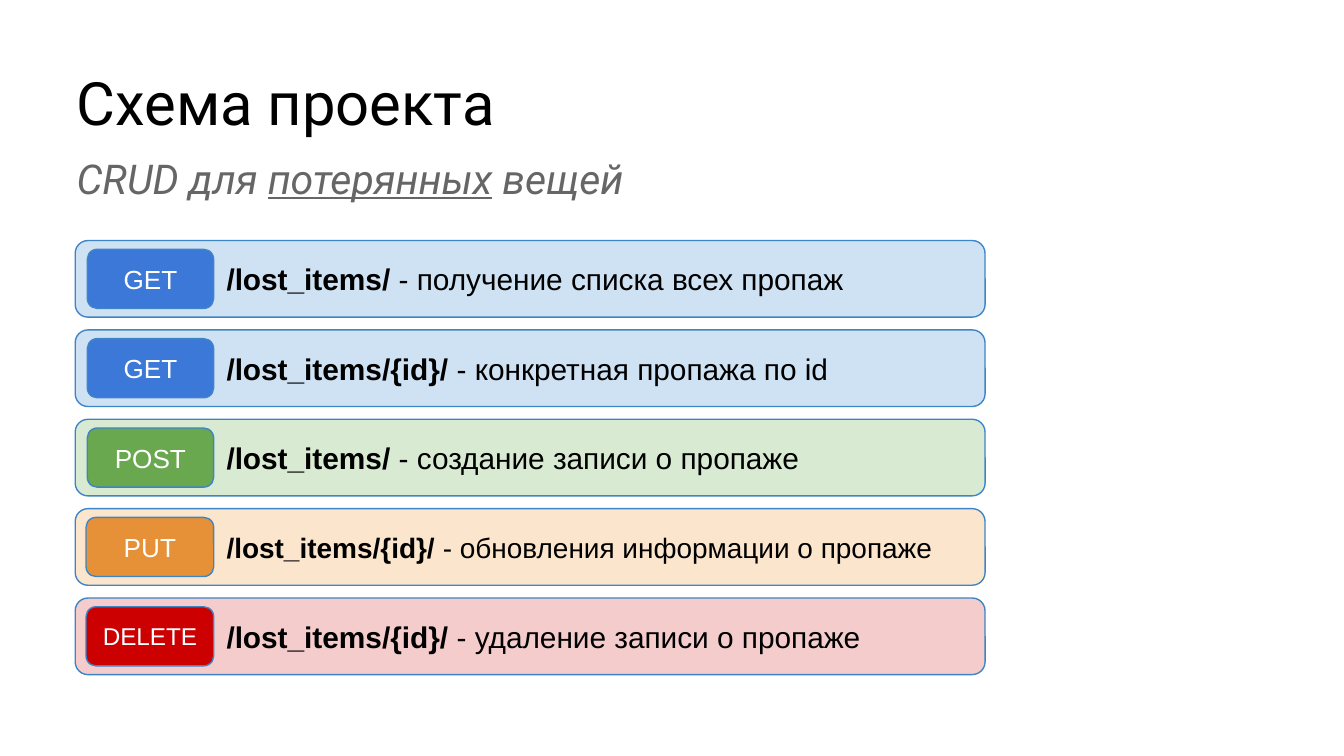
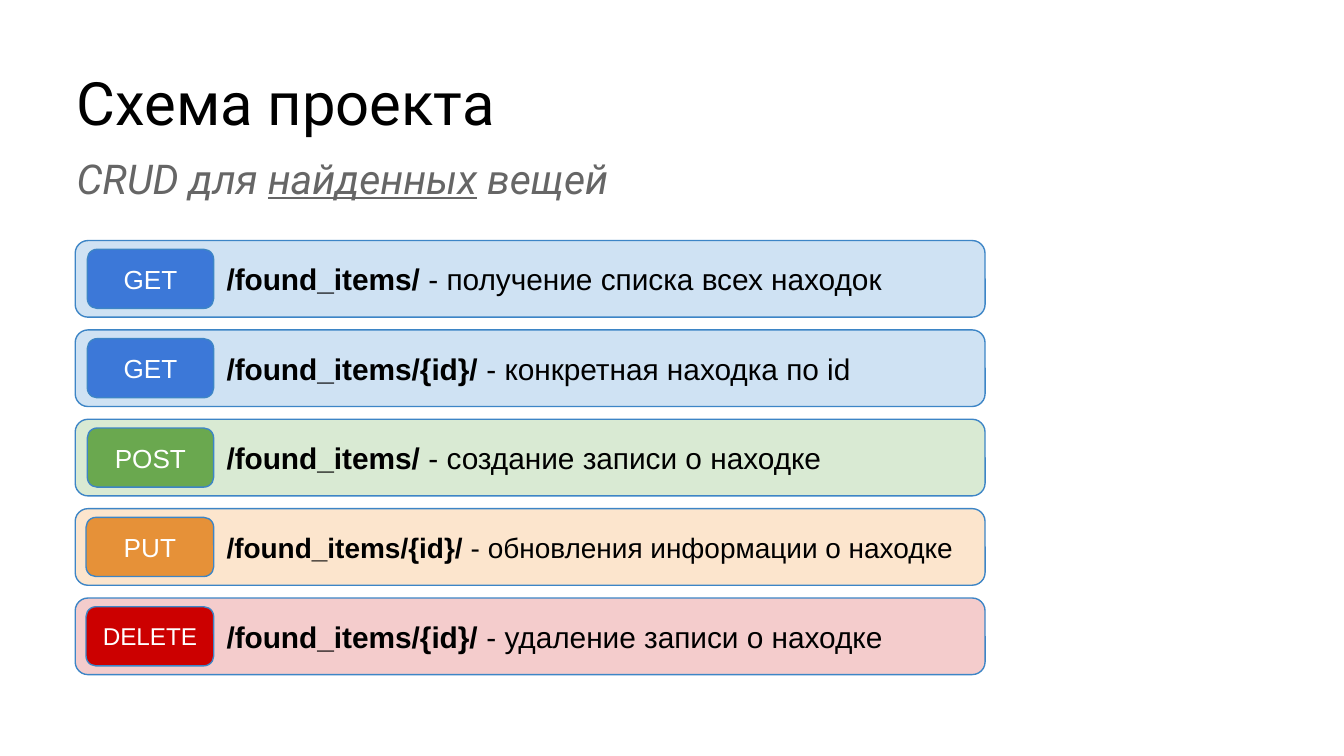
import pptx
import pptx.util
import pptx.dml.color
import pptx.enum.shapes
import pptx.enum.text

Inches, Pt = pptx.util.Inches, pptx.util.Pt
ALIGN = pptx.enum.text.PP_ALIGN
ANCHOR = pptx.enum.text.MSO_ANCHOR
FIT = pptx.enum.text.MSO_AUTO_SIZE

# Content
TITLE = "Схема проекта"
SLIDES = [
    ("потерянных", "lost_items", ("пропаж", "пропажа", "пропаже")),
    ("найденных", "found_items", ("находок", "находка", "находке")),
]
# method, path tail, text with the noun forms, text size, badge size, badge left
ROWS = [
    ("GET", "", "получение списка всех {0}", 16, 14, 0.65),
    ("GET", "{id}/", "конкретная {1} по id", 16, 14, 0.65),
    ("POST", "", "создание записи о {2}", 16, 14, 0.65),
    ("PUT", "{id}/", "обновления информации о {2}", 15, 14, 0.64),
    ("DELETE", "{id}/", "удаление записи о {2}", 16, 13, 0.64),
]

# Style
COLORS = {
    "text": "000000", "muted": "666666", "white": "FFFFFF", "line": "3D85C6",
    "GET": "3C78D8", "POST": "6AA84F", "PUT": "E69138", "DELETE": "CC0000",
}
TINTS = {"GET": "CFE2F3", "POST": "D9EAD3", "PUT": "FCE5CD", "DELETE": "F4CCCC"}
HEAD, BODY = "Roboto", "Arial"
LEFT, TOP, LAST, WIDTH, HIGH = 0.56, 1.79, 4.45, 6.77, 0.57
STEP = (LAST - TOP) / (len(ROWS) - 1)
BADGE_R, BADGE_H = 1.59, 0.44


def rgb(code):
    return pptx.dml.color.RGBColor.from_string(code)


def write(shape, parts, size, face, color, align, anchor):
    """Fill a shape with one paragraph; parts hold text and font flags."""
    frame = shape.text_frame
    frame.word_wrap = True
    frame.vertical_anchor = anchor
    frame.margin_left = frame.margin_right = Inches(0.1)
    frame.margin_top = frame.margin_bottom = Inches(0.1)
    para = frame.paragraphs[0]
    para.alignment = align
    para.space_before = Pt(0)
    for text, flags in parts:
        run = para.add_run()
        run.text = text
        font = run.font
        font.size, font.name = Pt(size), face
        font.color.rgb = rgb(color)
        for flag, value in flags.items():
            setattr(font, flag, value)
    return para


def place(shape, left, top, width, height):
    shape.left, shape.top = Inches(left), Inches(top)
    shape.width, shape.height = Inches(width), Inches(height)


def head(shape, box, parts, size, color):
    place(shape, *box)
    write(shape, parts, size, HEAD, color, ALIGN.LEFT, ANCHOR.TOP)
    shape.text_frame.auto_size = FIT.SHAPE_TO_FIT_TEXT


def panel(group, left, top, width, height, fill):
    kind = pptx.enum.shapes.MSO_SHAPE.ROUNDED_RECTANGLE
    box = group.shapes.add_shape(
        kind, Inches(left), Inches(top), Inches(width), Inches(height))
    box.shadow.inherit = False
    box.fill.solid()
    box.fill.fore_color.rgb = rgb(fill)
    box.line.color.rgb = rgb(COLORS["line"])
    box.line.width = Pt(0.75)
    return box


def add_row(slide, index, row, route, nouns):
    verb, tail, note, size, small, left = row
    top = TOP + index * STEP
    group = slide.shapes.add_group_shape()
    # Wide bar with the path and its meaning
    bar = panel(group, LEFT, top, WIDTH, HIGH, TINTS[verb])
    parts = [(f"/{route}/{tail}", {"bold": True}),
             (" - " + note.format(*nouns), {"bold": False})]
    para = write(bar, parts, size, BODY, COLORS["text"],
                 ALIGN.LEFT, ANCHOR.MIDDLE)
    props = para._p.get_or_add_pPr()
    for name in ("marL", "indent"):
        props.set(name, str(Inches(0.5)))
    # Method badge
    badge = panel(group, left, top + (HIGH - BADGE_H) / 2,
                  BADGE_R - left, BADGE_H, COLORS[verb])
    write(badge, [(verb, {})], small, BODY, COLORS["white"],
          ALIGN.CENTER, ANCHOR.MIDDLE)


def add_slide(deck, kind, route, nouns):
    slide = deck.slides.add_slide(deck.slide_layouts[0])
    title, sub = slide.placeholders
    head(title, (0.47, 0.39, 7.77, 0.74), [(TITLE, {})], 32, COLORS["text"])
    parts = [("CRUD для ", {"italic": True}),
             (kind, {"italic": True, "underline": True}),
             (" вещей", {"italic": True})]
    head(sub, (0.47, 1.04, 7.77, 0.57), parts, 22, COLORS["muted"])
    for index, row in enumerate(ROWS):
        add_row(slide, index, row, route, nouns)


def main():
    deck = pptx.Presentation()
    # Wide 16:9 page
    deck.slide_width = Inches(10)
    deck.slide_height = Inches(10 * 9 / 16)
    for item in SLIDES:
        add_slide(deck, *item)
    deck.save("out.pptx")


if __name__ == "__main__":
    main()
